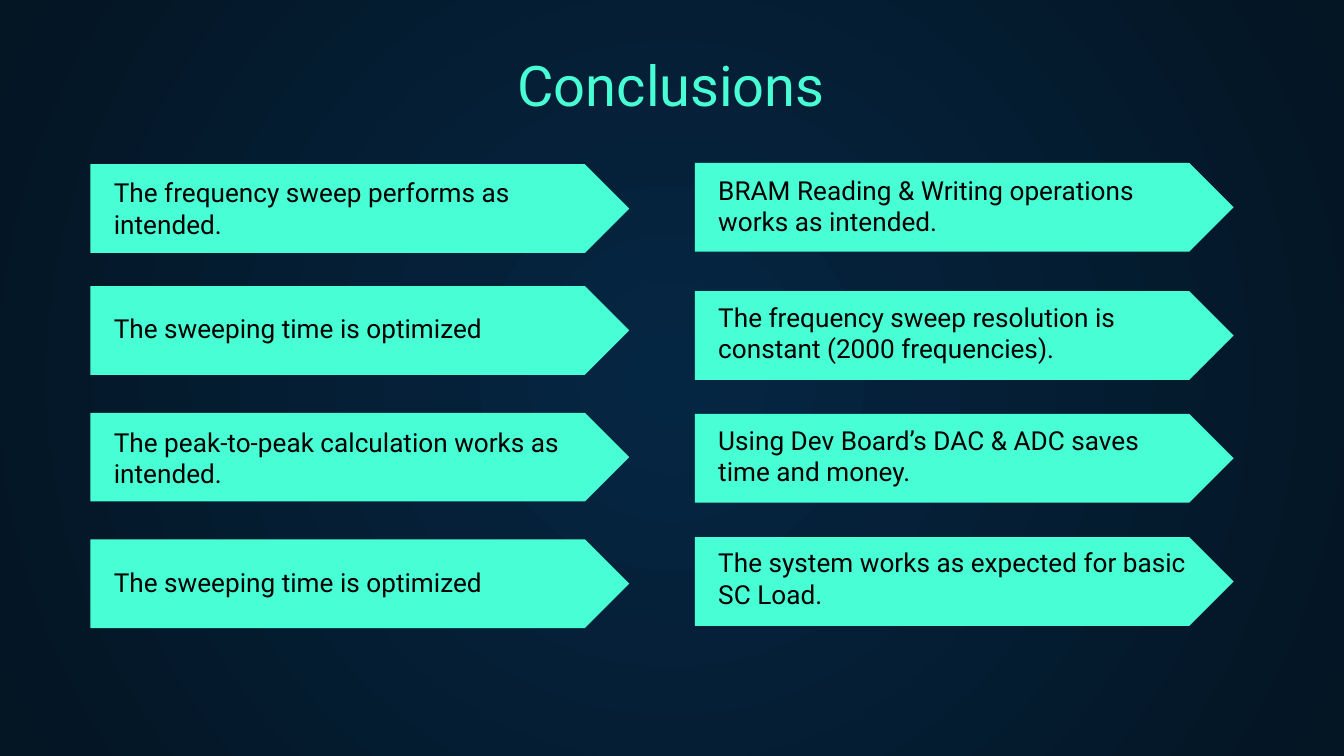
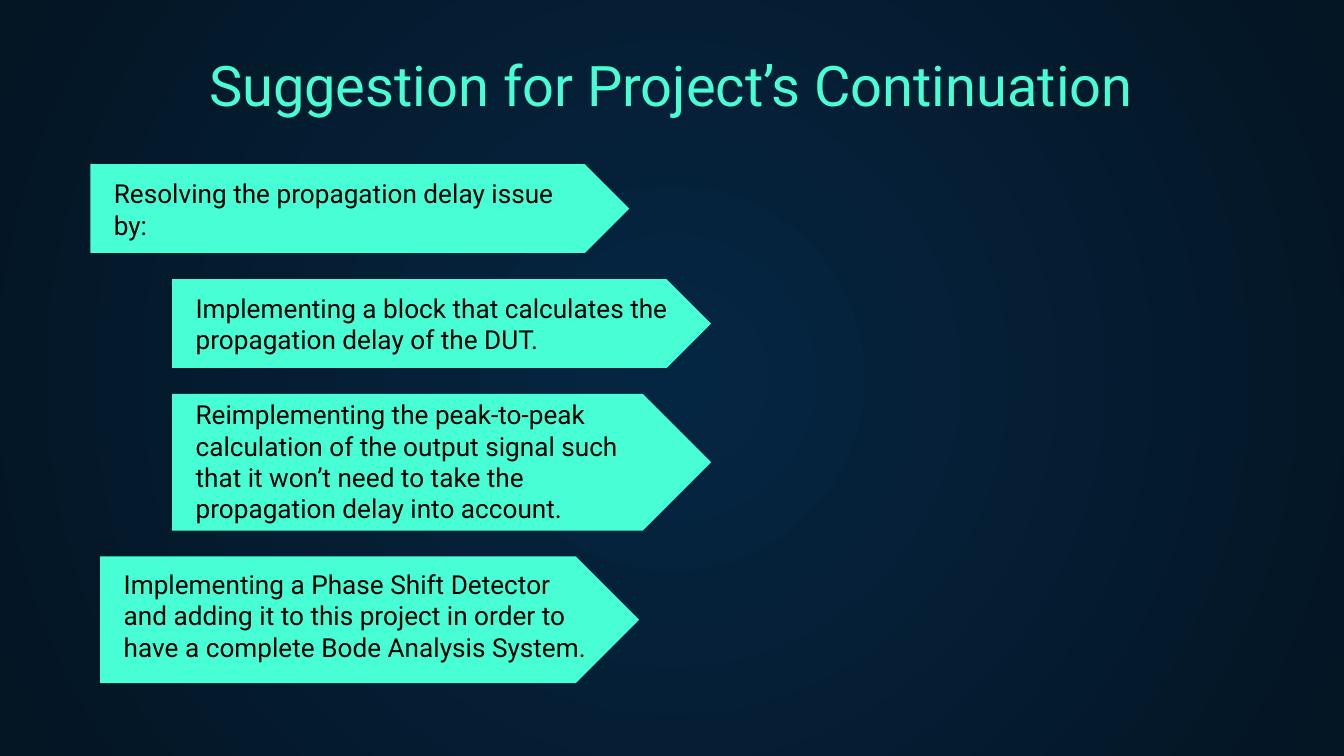
from pptx import Presentation
from pptx.dml.color import RGBColor
from pptx.enum.shapes import MSO_SHAPE
from pptx.enum.text import MSO_ANCHOR, MSO_AUTO_SIZE, PP_ALIGN
from pptx.oxml import parse_xml
from pptx.oxml.ns import nsdecls, qn
from pptx.util import Pt

PENTAGON = MSO_SHAPE.PENTAGON
BOTTOM = MSO_ANCHOR.BOTTOM
LEFT, CENTER = PP_ALIGN.LEFT, PP_ALIGN.CENTER
NO_AUTOFIT = MSO_AUTO_SIZE.NONE

FONT = "Roboto"
MINT, BLACK = "48FFD5", "000000"
GLOW, NIGHT = "052643", "041523"

TITLE_AREA = (62.6, 23, 594, 47.5)
BANNER_WIDTH, BANNER_HEIGHT = 288.7, 47.5
TEXT_INDENT = 5.5
TEXT_WIDTH, TEXT_HEIGHT = 267.8, 38.2
INSET = 7.2
TITLE_ONLY = 5

# Conclusions, by column: left edge, then (text, banner top, text top)
CONCLUSIONS = [
    (48.4, [
        ("The frequency sweep performs as intended.", 88, 97.2),
        ("The sweeping time is optimized", 153.3, 153.3),
        ("The peak-to-peak calculation works as intended.", 221.2, 231),
        ("The sweeping time is optimized", 289, 289),
    ]),
    (372.2, [
        ("BRAM Reading & Writing operations works as intended.", 87.3, 95.8),
        ("The frequency sweep resolution is constant (2000 frequencies).", 156, 164),
        ("Using Dev Board’s DAC & ADC saves time and money.", 221.8, 230),
        ("The system works as expected for basic SC Load.", 287.8, 295.5),
    ]),
]

# Suggestions: text, left, banner top, banner height, text top, text width, text height
SUGGESTIONS = [
    ("Resolving the propagation delay issue by:",
     48.4, 88, BANNER_HEIGHT, 97.8, TEXT_WIDTH, TEXT_HEIGHT),
    ("Implementing a block that calculates the propagation delay of the DUT.",
     92.2, 149.6, BANNER_HEIGHT, 138.4, BANNER_WIDTH, 59),
    ("Reimplementing the peak-to-peak calculation of the output signal such "
     "that it won’t need to take the propagation delay into account.",
     92.2, 211, 73.3, 214.7, 262, 73.3),
    ("Implementing a Phase Shift Detector and adding it to this project in "
     "order to have a complete Bode Analysis System.",
     53.7, 298, 68, 324, TEXT_WIDTH, TEXT_HEIGHT),
]


def color(hex_code):
    return RGBColor.from_string(hex_code)


def set_background(master):
    """Give every page a radial glow that darkens towards the edges."""
    fill = master.background.fill
    fill.gradient()
    for stop, hex_code, position in zip(fill.gradient_stops, (GLOW, NIGHT), (0, 1)):
        stop.color.rgb = color(hex_code)
        stop.position = position
    linear = next(master.element.iter(qn("a:lin")))
    radial = parse_xml(
        f'<a:path {nsdecls("a")} path="circle">'
        '<a:fillToRect l="50000" t="50000" r="50000" b="50000"/></a:path>')
    linear.getparent().replace(linear, radial)


def write(box, text, size, hex_code, align):
    frame = box.text_frame
    frame.word_wrap = True
    frame.auto_size = NO_AUTOFIT
    frame.vertical_anchor = BOTTOM
    frame.margin_left = frame.margin_right = Pt(INSET)
    frame.margin_top = frame.margin_bottom = Pt(INSET)
    para = frame.paragraphs[0]
    para.alignment = align
    span = para.add_run()
    span.text = text
    span.font.name = FONT
    span.font.size = Pt(size)
    span.font.color.rgb = color(hex_code)


def add_page(deck, title):
    page = deck.slides.add_slide(deck.slide_layouts[TITLE_ONLY])
    box = page.shapes.title
    box.left, box.top, box.width, box.height = map(Pt, TITLE_AREA)
    write(box, title, 30, MINT, CENTER)
    return page


def add_banner(page, text, left, top, height, text_top, text_width, text_height):
    banner = page.shapes.add_shape(
        PENTAGON, Pt(left), Pt(top), Pt(BANNER_WIDTH), Pt(height))
    banner.shadow.inherit = False
    banner.fill.solid()
    banner.fill.fore_color.rgb = color(MINT)
    banner.line.fill.background()
    box = page.shapes.add_textbox(
        Pt(left + TEXT_INDENT), Pt(text_top), Pt(text_width), Pt(text_height))
    write(box, text, 14, BLACK, LEFT)


def main():
    deck = Presentation()
    deck.slide_width, deck.slide_height = Pt(720), Pt(405)
    set_background(deck.slide_master)

    page = add_page(deck, "Conclusions")
    for left, banners in CONCLUSIONS:
        for text, top, text_top in banners:
            add_banner(page, text, left, top, BANNER_HEIGHT,
                       text_top, TEXT_WIDTH, TEXT_HEIGHT)

    page = add_page(deck, "Suggestion for Project’s Continuation")
    for suggestion in SUGGESTIONS:
        add_banner(page, *suggestion)

    deck.save("out.pptx")


if __name__ == "__main__":
    main()
